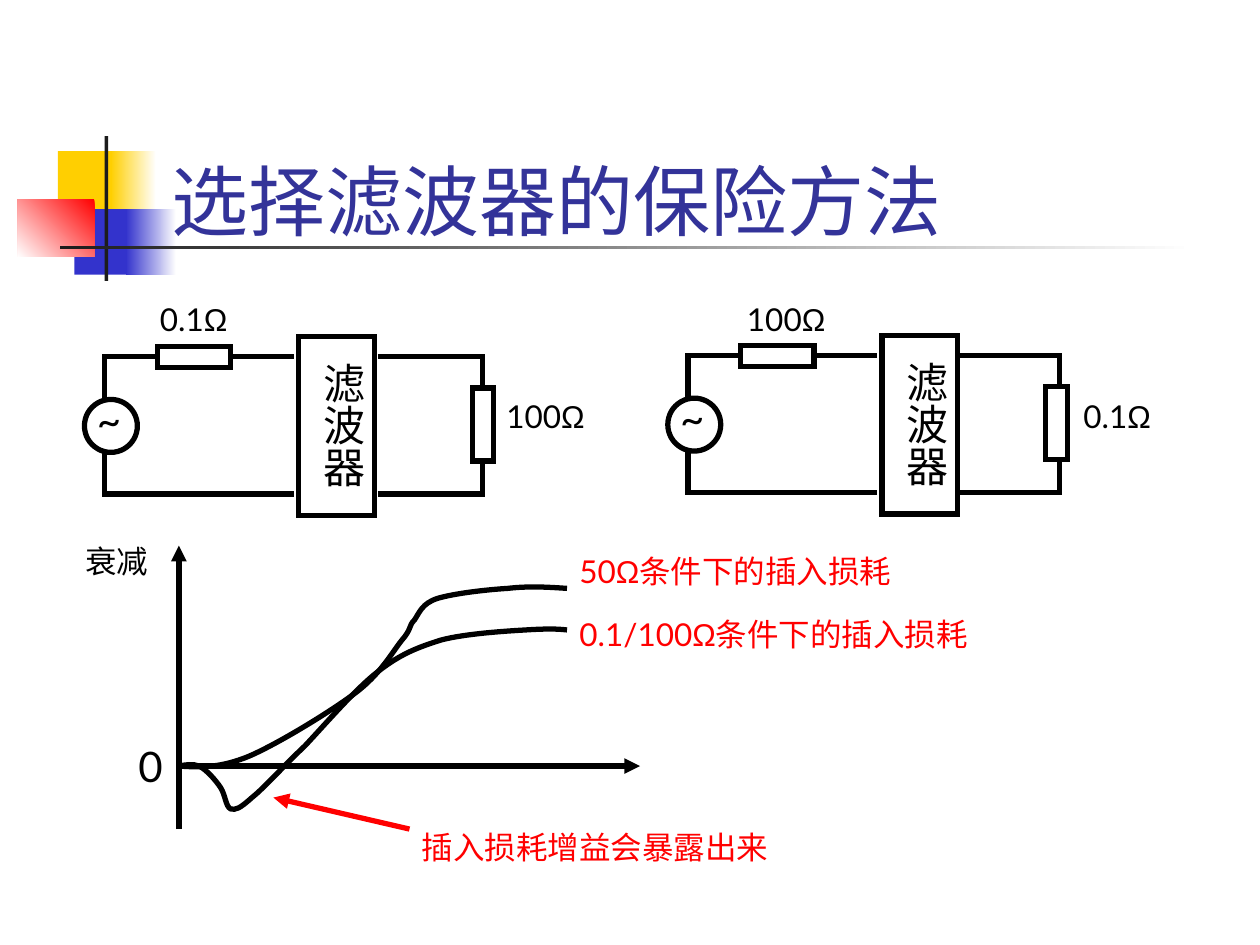
from lxml import etree
from pptx import Presentation
from pptx.dml.color import RGBColor
from pptx.enum.shapes import MSO_CONNECTOR, MSO_SHAPE
from pptx.enum.text import MSO_ANCHOR, PP_ALIGN
from pptx.oxml.ns import qn
from pptx.util import Inches, Pt

RECTANGLE, ELLIPSE = MSO_SHAPE.RECTANGLE, MSO_SHAPE.OVAL
STRAIGHT = MSO_CONNECTOR.STRAIGHT
TOP, BOTTOM = MSO_ANCHOR.TOP, MSO_ANCHOR.BOTTOM
LEFT = PP_ALIGN.LEFT
COLORS = {name: RGBColor.from_string(value) for name, value in {
    "black": "000000", "white": "FFFFFF", "red": "FF0000", "yellow": "FFCF01",
    "blue": "3333CC", "charcoal": "1C1C1C", "title": "333399"}.items()}

deck = Presentation()
deck.slide_width, deck.slide_height = Inches(10), Inches(7.5)
page = deck.slides.add_slide(deck.slide_layouts[6])
shapes = page.shapes


def draw_outline(item, color="black", arrow=False):
    item.line.color.rgb = COLORS[color]
    item.line.width = Pt(3)
    line = item.line._get_or_add_ln()
    etree.SubElement(line, qn("a:miter")).set("lim", "800000")
    if arrow:
        etree.SubElement(line, qn("a:tailEnd")).set("type", "triangle")


def write_text(box, text, size, color="black", before=0.0, anchor=TOP):
    frame = box.text_frame
    for name, value in {"word_wrap": True, "vertical_anchor": anchor}.items():
        setattr(frame, name, value)
    para = frame.paragraphs[0]
    para.alignment = LEFT
    para.space_before = Pt(before)
    head, omega, rest = text.partition("Ω")
    for part, font in ((head, "Lato"), (omega, "Arial"), (rest, "Lato")):
        if part:
            span = para.add_run()
            span.text = part
            for name, value in {"name": font, "size": Pt(size)}.items():
                setattr(span.font, name, value)
            span.font.color.rgb = COLORS[color]


DECORATIONS = [
    (0.46, 1.2, 0.48, 0.52, ["yellow"], 0),
    (0.88, 1.2, 0.36, 0.52, ["white", "yellow"], 180),
    (0.59, 1.66, 0.46, 0.52, ["blue"], 0),
    (1, 1.66, 0.4, 0.52, ["white", "blue"], 180),
    (0.14, 1.58, 0.61, 0.46, ["red", "white"], 225),
    (0.83, 1.08, 0.03, 1.15, ["charcoal"], 0),
    (0.48, 1.95, 9, 0.03, ["white", "charcoal"], 180),
]
for left, top, width, height, tones, angle in DECORATIONS:
    block = shapes.add_shape(RECTANGLE, Inches(left), Inches(top), Inches(width), Inches(height))
    block.shadow.inherit = False
    block.line.fill.background()
    if len(tones) == 1:
        block.fill.solid()
        block.fill.fore_color.rgb = COLORS[tones[0]]
    else:
        block.fill.gradient()
        block.fill.gradient_angle = angle
        for stop, tone in zip(block.fill.gradient_stops, tones):
            stop.color.rgb = COLORS[tone]

title = shapes.add_textbox(Inches(1.26), Inches(0.75), Inches(8.52), Inches(1.25))
write_text(title, "选择滤波器的保险方法", 44, "title", anchor=BOTTOM)

labels = [
    (1.17, 2.33, 0.92, "0.1Ω", 18, "black"),
    (3.92, 3.1, 0.92, "100Ω", 18, "black"),
    (5.83, 2.33, 0.92, "100Ω", 18, "black"),
    (8.5, 3.1, 0.92, "0.1Ω", 18, "black"),
    (1, 5.83, 0.5, "0", 24, "black"),
    (0.58, 4.25, 1, "衰减", 18, "black"),
    (4.5, 4.33, 2.83, "50Ω条件下的插入损耗", 18, "red"),
    (4.5, 4.83, 3.58, "0.1/100Ω条件下的插入损耗", 18, "red"),
    (3.25, 6.52, 3.58, "插入损耗增益会暴露出来", 18, "red"),
]
connectors = [
    (1.42, 6.58, 1.42, 4.33, "black", True),
    (1.42, 6.08, 5.08, 6.08, "black", True),
    (3.25, 6.58, 2.17, 6.33, "red", True),
]
outlines = []

for source, output, load, drop in ((0, 0, 0, 0), (4.63, 4.58, 4.55, -0.01)):
    for kind, left, top, width, height, text in (
        (RECTANGLE, 1.25 + source, 2.75, 0.58, 0.17, ""),
        (RECTANGLE, 2.37 + source, 2.67, 0.6, 1.42, "滤波器"),
        (ELLIPSE, 0.67 + source, 3.17, 0.42, 0.42, ""),
        (RECTANGLE, 3.75 + load, 3.08, 0.17, 0.58, ""),
    ):
        part = shapes.add_shape(kind, Inches(left), Inches(top + drop), Inches(width), Inches(height))
        part.shadow.inherit = False
        part.fill.background()
        draw_outline(part)
        if text:
            write_text(part, text, 24, before=15)
            frame = part.text_frame
            for name, value in {"margin_left": 0.05, "margin_right": 0.05,
                                "margin_top": 0.21, "margin_bottom": 0.1}.items():
                setattr(frame, name, Inches(value))
            frame._txBody.bodyPr.set("vert", "eaVert")
    labels.append((0.67 + source, 3.08 + drop, 0.42, "~", 24, "black"))
    connectors.append((1.83 + source, 2.83 + drop, 2.33 + source, 2.83 + drop, "black", False))
    for shift, wire in (
        (source, [(0.83, 3.17), (0.83, 2.83), (1.25, 2.83)]),
        (source, [(0.83, 3.58), (0.83, 3.92), (2.33, 3.92)]),
        (output, [(3, 2.83), (3.83, 2.83), (3.83, 3.08)]),
        (output, [(3, 3.92), (3.83, 3.92), (3.83, 3.67)]),
    ):
        outlines.append(([(x + shift, y + drop) for x, y in wire], False))

MATCHED_CURVE = [
    (1.42, 6.08), (1.58, 6.09), (1.74, 6.1), (1.98, 6), (2.21, 5.9), (2.62, 5.65), (2.82, 5.5),
    (3.02, 5.35), (3.11, 5.18), (3.19, 5.08), (3.27, 4.99), (3.24, 4.97), (3.29, 4.92),
    (3.33, 4.86), (3.35, 4.79), (3.47, 4.75), (3.6, 4.71), (3.86, 4.68), (4.03, 4.67),
    (4.2, 4.65), (4.35, 4.66), (4.5, 4.67)]
MISMATCHED_CURVE = [
    (1.42, 6.08), (1.47, 6.07), (1.53, 6.06), (1.58, 6.08), (1.64, 6.11), (1.71, 6.19), (1.75, 6.25),
    (1.79, 6.31), (1.79, 6.4), (1.83, 6.42), (1.87, 6.43), (1.9, 6.42), (2, 6.33),
    (2.1, 6.25), (2.25, 6.08), (2.42, 5.92), (2.58, 5.75), (2.82, 5.47), (3, 5.33),
    (3.18, 5.19), (3.31, 5.14), (3.5, 5.08), (3.69, 5.03), (4, 5.01), (4.17, 5),
    (4.33, 4.99), (4.42, 4.99), (4.5, 5)]
outlines += [(MATCHED_CURVE, True), (MISMATCHED_CURVE, True)]

for points, curved in outlines:
    corners = [(Inches(x), Inches(y)) for x, y in points]
    builder = shapes.build_freeform(*corners[0])
    builder.add_line_segments(corners[1:], close=False)
    wire_shape = builder.convert_to_shape()
    wire_shape.shadow.inherit = False
    wire_shape.fill.background()
    draw_outline(wire_shape)
    if curved:
        segments = list(wire_shape._element.iter(qn("a:lnTo")))
        for first in range(0, len(segments), 3):
            bezier = etree.Element(qn("a:cubicBezTo"))
            segments[first].addprevious(bezier)
            for segment in segments[first:first + 3]:
                bezier.append(segment[0])
                segment.getparent().remove(segment)

for x1, y1, x2, y2, color, arrow in connectors:
    connector = shapes.add_connector(STRAIGHT, Inches(x1), Inches(y1), Inches(x2), Inches(y2))
    draw_outline(connector, color, arrow)
    etree.SubElement(connector._element.spPr, qn("a:effectLst"))

for left, top, width, text, size, color in labels:
    height, before = (0.5, 15) if size == 24 else (0.4, 11.2)
    label = shapes.add_textbox(Inches(left), Inches(top), Inches(width), Inches(height))
    write_text(label, text, size, color, before)

deck.save("out.pptx")
